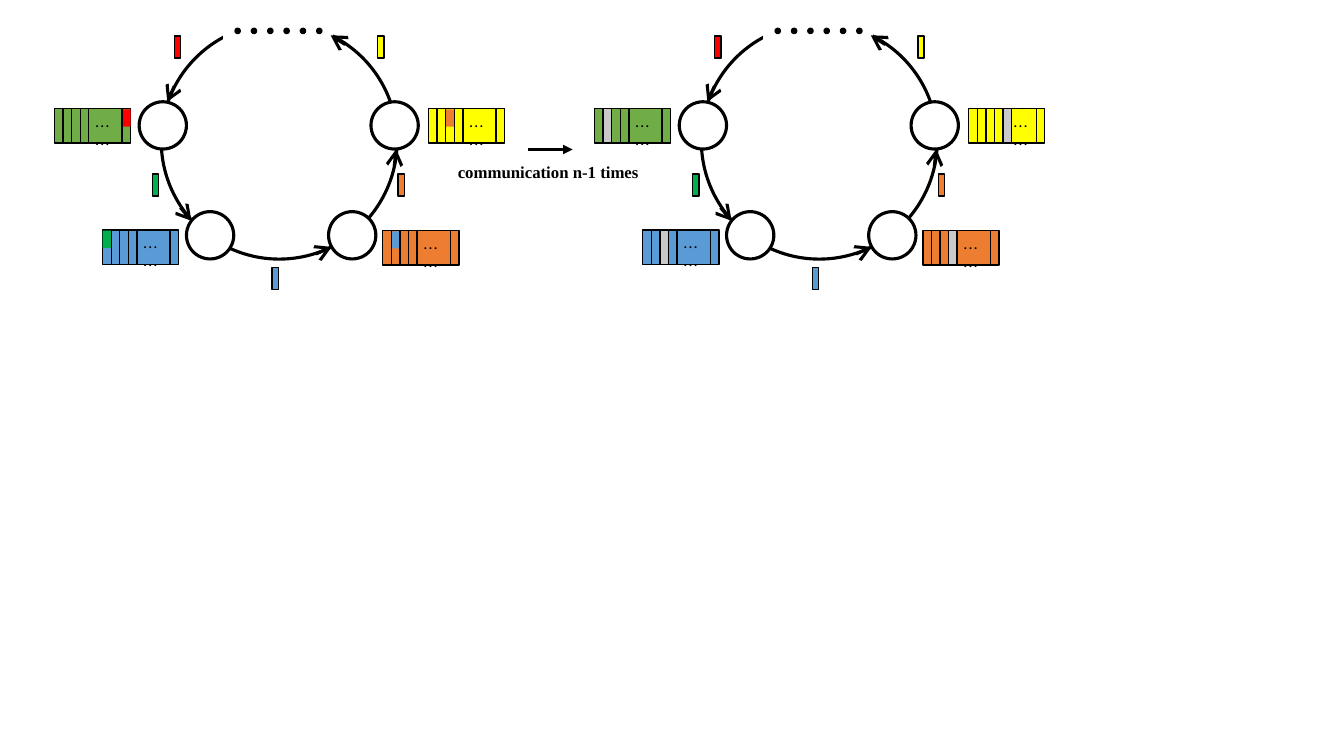
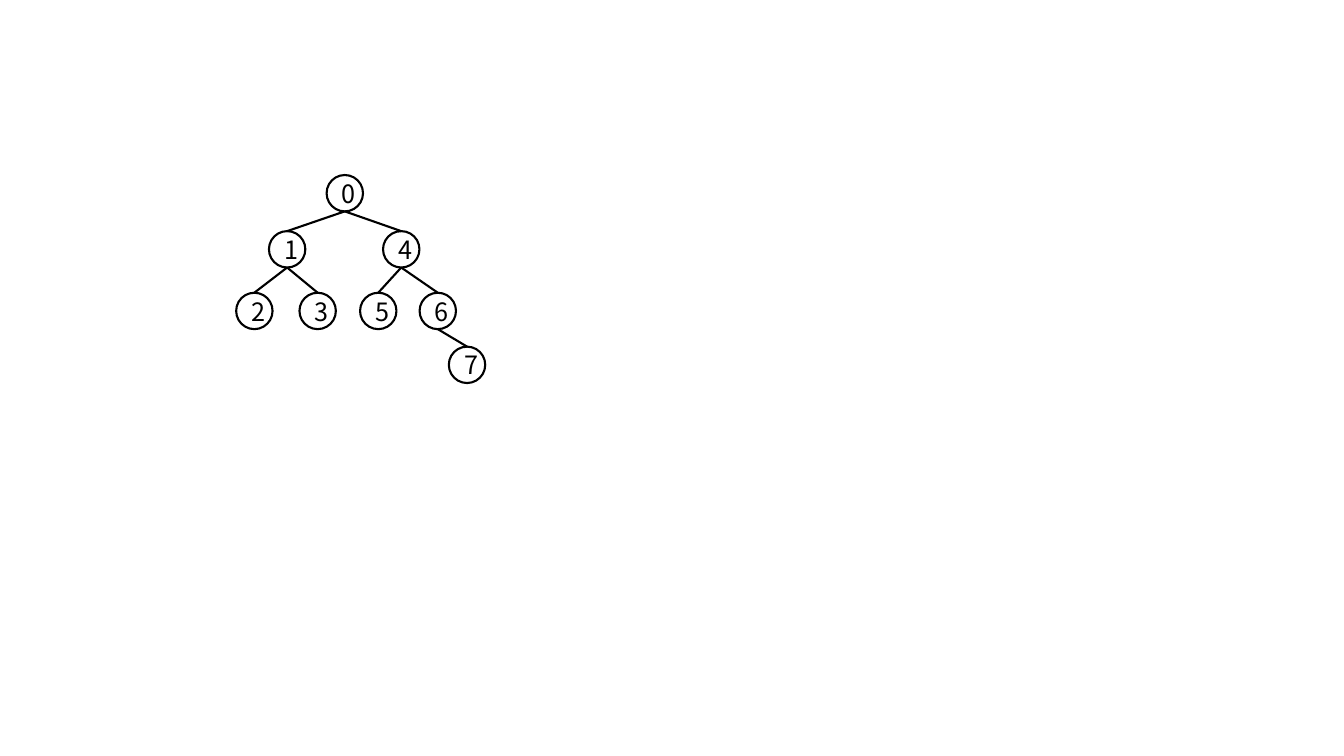
"""Draw a ring exchange in two states and a binary tree."""
from lxml import etree
from pptx import Presentation
from pptx.dml.color import RGBColor
from pptx.enum.shapes import MSO_CONNECTOR, MSO_SHAPE
from pptx.enum.text import MSO_ANCHOR, MSO_AUTO_SIZE, PP_ALIGN
from pptx.oxml.ns import qn
from pptx.util import Pt

LINE = MSO_CONNECTOR.STRAIGHT
OVAL, RECT = MSO_SHAPE.OVAL, MSO_SHAPE.RECTANGLE
MIDDLE, CENTER = MSO_ANCHOR.MIDDLE, PP_ALIGN.CENTER
FIT = MSO_AUTO_SIZE.SHAPE_TO_FIT_TEXT

COLORS = {
    "black": "000000", "white": "FFFFFF", "gray": "C9C9C9", "red": "FF0000",
    "green": "00B050", "leaf": "70AD47", "blue": "5B9BD5",
    "orange": "ED7D31", "yellow": "FFFF00",
}
SANS = "Noto Sans CJK SC"
FONTS = {
    "dots": {"name": SANS, "size": Pt(11)},
    "label": {"name": "Times New Roman", "size": Pt(12), "bold": True},
    "node": {"name": SANS, "size": Pt(18)},
}
OPEN = {"type": "arrow", "w": "lg", "len": "lg"}
SOLID = {"type": "triangle"}

SHIFT = 385.8
RING = (115.2, 16.6, 168.5, 168.5)
COVER = (159.8, 15.1, 77.8, 26.6)
NODE = 33.8
NODES = [(234.7, 151.2), (133.2, 151.2), (99.4, 72.7), (265, 72.7)]
HEADS = [
    (230.4, 179.3, 236.9, 176.4), (282.2, 113.8, 283, 106.6),
    (132.5, 152.6, 136.8, 157.7), (122.4, 66.2, 119.5, 72.7),
    (241.9, 28.8, 236.2, 25.2),
]
DOTS, DOT_LEFT, DOT_TOP, DOT_STEP, DOT = 6, 167.9, 20.2, 11.66, 3.7
CHIP = (4.5, 15.8)
CHIPS = [
    ("red", 124.6, 25.7), ("green", 108.9, 124.3), ("blue", 194.4, 191),
    ("orange", 284.4, 124.3), ("yellow", 269.8, 25.7),
]
BLOCK_W, BLOCK_H, CELL = 54.4, 24.5, 6.13
EDGES = [0, CELL, 2 * CELL, 3 * CELL, 4 * CELL, BLOCK_W - CELL]
TEXT_LEFT, TEXT_NUDGE = 21.6, 2.9
BLOCKS = [
    {"color": "blue", "at": (73.3, 164.3), "half": (0, "green"), "gray": 2},
    {"color": "leaf", "at": (38.9, 77.7), "half": (5, "red"), "gray": 1},
    {"color": "orange", "at": (273.4, 164.8), "half": (1, "blue"), "gray": 3},
    {"color": "yellow", "at": (306.1, 77.7), "half": (2, "orange"), "gray": 4},
]
ARROW = (377.3, 106.8, 409, 106.8)
LABEL = ("communication n-1 times", (319.9, 112, 145.4, 21.6))

DISK = 26
TREE = {
    "0": (233.3, 125), "1": (192.1, 165.1), "4": (273.6, 165.1),
    "2": (168.7, 209.1), "3": (213.9, 209.1), "5": (257.2, 209.1),
    "6": (299.7, 209.1), "7": (320.6, 247.6),
}
LINKS = ["01", "04", "12", "13", "45", "46", "67"]


def color(name):
    return RGBColor.from_string(COLORS[name])


def add_shape(slide, kind, box, fill=None, line="black", width=1):
    shape = slide.shapes.add_shape(kind, *map(Pt, box))
    shape.shadow.inherit = False
    if fill:
        shape.fill.solid()
        shape.fill.fore_color.rgb = color(fill)
    else:
        shape.fill.background()
    if line:
        shape.line.color.rgb = color(line)
        shape.line.width = Pt(width)
    else:
        shape.line.fill.background()
    return shape


def add_line(slide, ends, width=1, head=None):
    line = slide.shapes.add_connector(LINE, *map(Pt, ends))
    line.line.color.rgb = color("black")
    line.line.width = Pt(width)
    if head:
        etree.SubElement(line.line._get_or_add_ln(), qn("a:tailEnd"), head)
    etree.SubElement(line._element.spPr, qn("a:effectLst"))


def put_text(frame, text, style):
    run = frame.paragraphs[0].add_run()
    run.text = text
    for key, value in FONTS[style].items():
        setattr(run.font, key, value)
    run.font.color.rgb = color("black")
    etree.SubElement(run.font._element, qn("a:ea"), typeface=FONTS[style]["name"])


def add_text(slide, text, box, style, wrap):
    frame = slide.shapes.add_textbox(*map(Pt, box)).text_frame
    frame.word_wrap = wrap
    frame.auto_size = FIT
    put_text(frame, text, style)


def add_block(slide, block, shift, done):
    left, top = block["at"]
    left += shift
    add_shape(slide, RECT, (left, top, BLOCK_W, BLOCK_H), block["color"])
    if not done:
        cell, tint = block["half"]
        half = (left + EDGES[cell], top + 0.5, CELL, BLOCK_H / 2)
        add_shape(slide, RECT, half, tint, None)
    for edge in EDGES[1:]:
        add_line(slide, (left + edge, top, left + edge, top + BLOCK_H))
    start = left + TEXT_LEFT
    if done:
        spot = (left + EDGES[block["gray"]], top, CELL, BLOCK_H)
        add_shape(slide, RECT, spot, "gray")
        if block["gray"] == 4:
            start += TEXT_NUDGE
    add_text(slide, "……", (start, top + 2.2, 33.1, 20.9), "dots", True)


def add_ring(slide, shift, done):
    def move(left, *rest):
        return (left + shift, *rest)

    add_shape(slide, OVAL, move(*RING), width=2.25)
    for node in NODES:
        add_shape(slide, OVAL, move(*node, NODE, NODE), "white", width=2.25)
    add_shape(slide, RECT, move(*COVER), "white", "white")
    for x1, y1, x2, y2 in HEADS:
        add_line(slide, (x1 + shift, y1, x2 + shift, y2), 2.25, OPEN)
    for i in range(DOTS):
        dot = move(DOT_LEFT + i * DOT_STEP, DOT_TOP, DOT, DOT)
        add_shape(slide, OVAL, dot, "black")
    for tint, *spot in CHIPS:
        add_shape(slide, RECT, move(*spot, *CHIP), tint)
    for block in BLOCKS:
        add_block(slide, block, shift, done)


def draw_rings(slide):
    add_ring(slide, 0, False)
    add_ring(slide, SHIFT, True)
    add_line(slide, ARROW, 2.25, SOLID)
    add_text(slide, *LABEL, "label", False)


def draw_tree(slide):
    for text, spot in TREE.items():
        disk = add_shape(slide, OVAL, (*spot, DISK, DISK), width=1.5)
        frame = disk.text_frame
        frame.vertical_anchor = MIDDLE
        frame.paragraphs[0].alignment = CENTER
        put_text(frame, text, "node")
    for start, end in LINKS:
        (x1, y1), (x2, y2) = TREE[start], TREE[end]
        half = DISK / 2
        add_line(slide, (x1 + half, y1 + DISK, x2 + half, y2), 1.5)


def main():
    deck = Presentation()
    deck.slide_width, deck.slide_height = Pt(960), Pt(540)
    for draw in (draw_rings, draw_tree):
        draw(deck.slides.add_slide(deck.slide_layouts[6]))
    deck.save("out.pptx")


if __name__ == "__main__":
    main()
